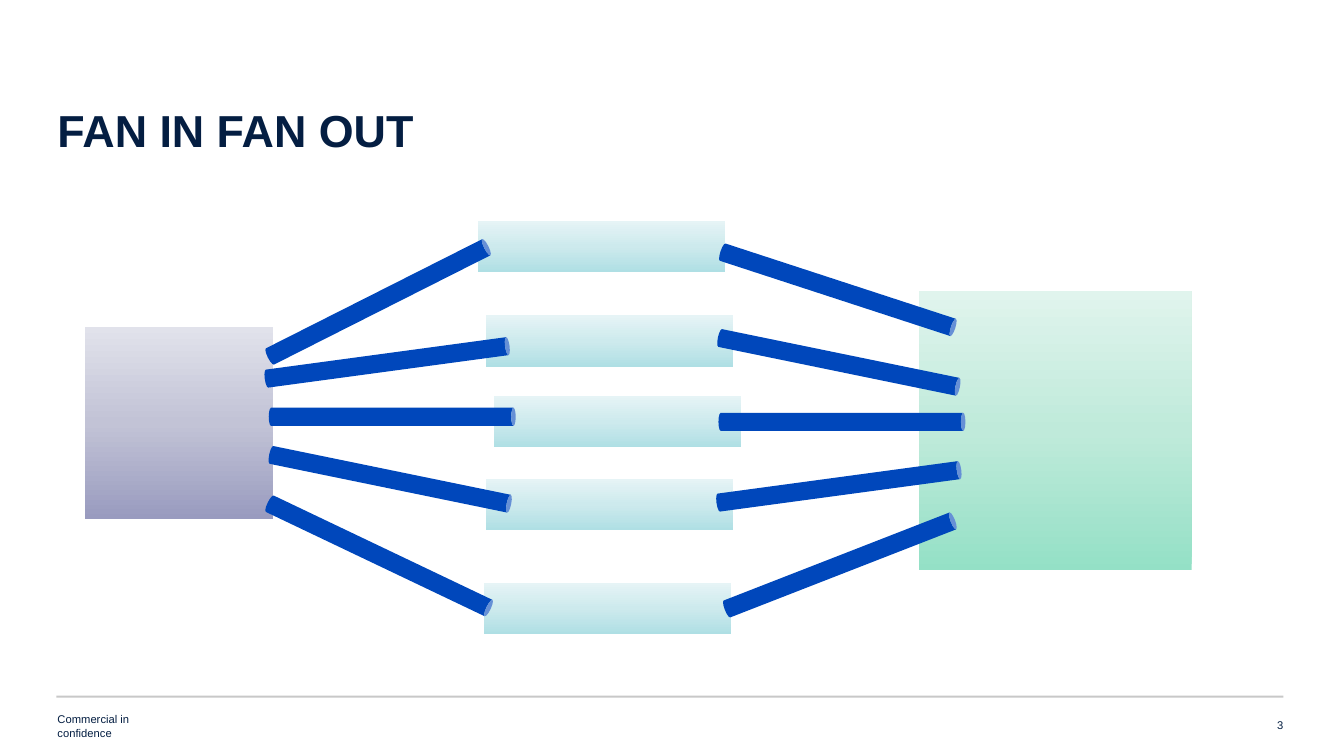
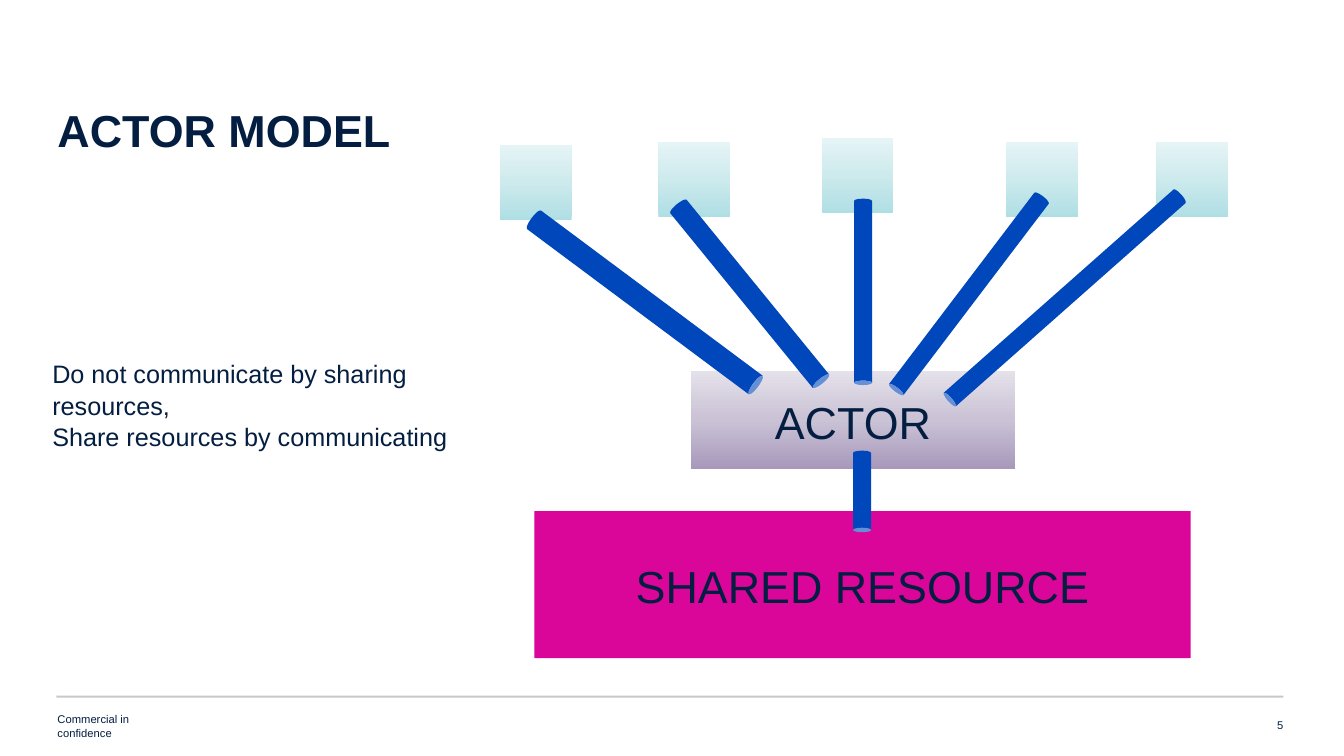
"""Build two slides on message passing: fan in fan out, and the actor model."""
from copy import deepcopy
from dataclasses import dataclass

from pptx import Presentation
from pptx.dml.color import RGBColor
from pptx.enum.shapes import MSO_SHAPE
from pptx.enum.text import MSO_ANCHOR, MSO_AUTO_SIZE, PP_ALIGN
from pptx.util import Inches, Pt

RECT, CAN = MSO_SHAPE.RECTANGLE, MSO_SHAPE.CAN
TOP, MIDDLE = MSO_ANCHOR.TOP, MSO_ANCHOR.MIDDLE
LEFT, CENTER, RIGHT = PP_ALIGN.LEFT, PP_ALIGN.CENTER, PP_ALIGN.RIGHT
NO_FIT = MSO_AUTO_SIZE.NONE
TITLE_ONLY = 5


@dataclass(frozen=True)
class Theme:
    font: str = "Arial"
    ink: str = "041E42"
    rule: str = "C8C8C8"
    pipe: str = "0047BB"
    shared: str = "D90699"
    worker: tuple = ("AFDFE4", "CDEAED", "E6F4F6")
    source: tuple = ("999BBF", "C2C3D6", "E1E2EB")
    sink: tuple = ("94E0C6", "BFEADA", "E0F4ED")
    actor: tuple = ("A899BC", "CAC2D5", "E5E1EA")
    title: int = 32
    label: int = 32
    body: int = 18
    footer: int = 8


theme = Theme()


def write(tf, lines, size, bold=False, align=LEFT, anchor=TOP, inset=(0.1, 0.05)):
    """Fill a text frame with one paragraph for each line."""
    x, y = (Inches(v) for v in inset)
    frame = {"word_wrap": True, "auto_size": NO_FIT, "vertical_anchor": anchor,
             "margin_left": x, "margin_right": x, "margin_top": y, "margin_bottom": y}
    for name, value in frame.items():
        setattr(tf, name, value)
    tf.text = "\n".join(lines)
    for p in tf.paragraphs:
        for name, value in {"alignment": align, "line_spacing": 1.05}.items():
            setattr(p, name, value)
        for name, value in {"name": theme.font, "size": Pt(size), "bold": bold}.items():
            setattr(p.font, name, value)
        p.font.color.rgb = RGBColor.from_string(theme.ink)


def add_block(s, kind, at, fill, rotation=0):
    """Add a borderless shape with a plain fill or an upward gradient."""
    sp = s.shapes.add_shape(kind, *(Inches(v) for v in at))
    sp.shadow.inherit = False
    sp.line.fill.background()
    sp.rotation = rotation
    if isinstance(fill, str):
        sp.fill.solid()
        sp.fill.fore_color.rgb = RGBColor.from_string(fill)
        return sp
    sp.fill.gradient()
    sp.fill.gradient_angle = 90
    first = sp._element.spPr.xpath("./a:gradFill/a:gsLst/a:gs")[0]
    first.addnext(deepcopy(first))
    for stop, position, color in zip(sp.fill.gradient_stops, (0, 0.5, 1), fill):
        stop.position = position
        stop.color.rgb = RGBColor.from_string(color)
    return sp


lanes = [(4.82, 3.13), (4.9, 3.93), (4.82, 4.75), (4.8, 5.78), (4.74, 2.19)]
clients = [(8.15, 1.37), (6.53, 1.41), (4.96, 1.44), (11.47, 1.41), (9.98, 1.41)]
fan_pipes = [
    (3.66, 1.77, 63.2), (3.75, 2.37, 82.3), (3.8, 2.91, 90),
    (3.67, 4.29, 115.5), (3.78, 3.53, 101.6),
    (8.24, 4.38, 68.7), (8.23, 3.6, 82.3), (8.26, 2.96, 90),
    (8.22, 1.65, 108.1), (8.23, 2.37, 101.6),
]
pages = [
    {
        "title": "FAN IN FAN OUT",
        "number": "3",
        "blocks": [((9.11, 2.89, 2.71, 2.77), theme.sink, "")]
        + [((x, y, 2.45, 0.51), theme.worker, "") for x, y in lanes]
        + [((0.84, 3.24, 1.87, 1.91), theme.source, "")],
        "pipes": [((x, y, 0.18, 2.45), turn) for x, y, turn in fan_pipes],
        "body": [],
    },
    {
        "title": "ACTOR MODEL",
        "number": "5",
        "blocks": [((x, y, 0.71, 0.74), theme.worker, "") for x, y in clients]
        + [((6.85, 3.68, 3.22, 0.97), theme.actor, "ACTOR"),
           ((5.3, 5.07, 6.51, 1.46), theme.shared, "SHARED RESOURCE")],
        "pipes": [
            ((8.47, 1.97, 0.18, 1.85), 180),
            ((6.28, 1.6, 0.23, 2.8), 126.7),
            ((7.33, 1.77, 0.21, 2.29), 140.8),
            ((9.52, 1.7, 0.18, 2.43), 217.2),
            ((10.47, 1.41, 0.18, 3.09), 228.5),
            ((8.46, 4.47, 0.18, 0.81), 180),
        ],
        "body": ["Do not communicate by sharing resources,",
                 "Share resources by communicating"],
    },
]

prs = Presentation()
prs.slide_width, prs.slide_height = Inches(13.33), Inches(7.5)

for page in pages:
    s = prs.slides.add_slide(prs.slide_layouts[TITLE_ONLY])
    title = s.shapes.title
    place = {"left": 0.57, "top": 0.97, "width": 5.78, "height": 1.03}
    for name, value in place.items():
        setattr(title, name, Inches(value))
    write(title.text_frame, [page["title"]], theme.title, bold=True, inset=(0, 0.02))

    add_block(s, RECT, (0.56, 6.9, 12.17, 0.02), theme.rule)
    footers = [((11.21, 7.1, 1.52, 0.18), page["number"], RIGHT),
               ((0.57, 7.1, 1.2, 0.19), "Commercial in confidence", LEFT)]
    for at, text, align in footers:
        tb = s.shapes.add_textbox(*(Inches(v) for v in at))
        write(tb.text_frame, [text], theme.footer, align=align, anchor=MIDDLE, inset=(0, 0))

    for at, fill, text in page["blocks"]:
        sp = add_block(s, RECT, at, fill)
        if text:
            write(sp.text_frame, [text], theme.label, align=CENTER, anchor=MIDDLE)
    for at, turn in page["pipes"]:
        add_block(s, CAN, at, theme.pipe, turn)

    if page["body"]:
        tb = s.shapes.add_textbox(Inches(0.42), Inches(3.49), Inches(4.62), Inches(0.97))
        write(tb.text_frame, page["body"], theme.body)

prs.save("out.pptx")
